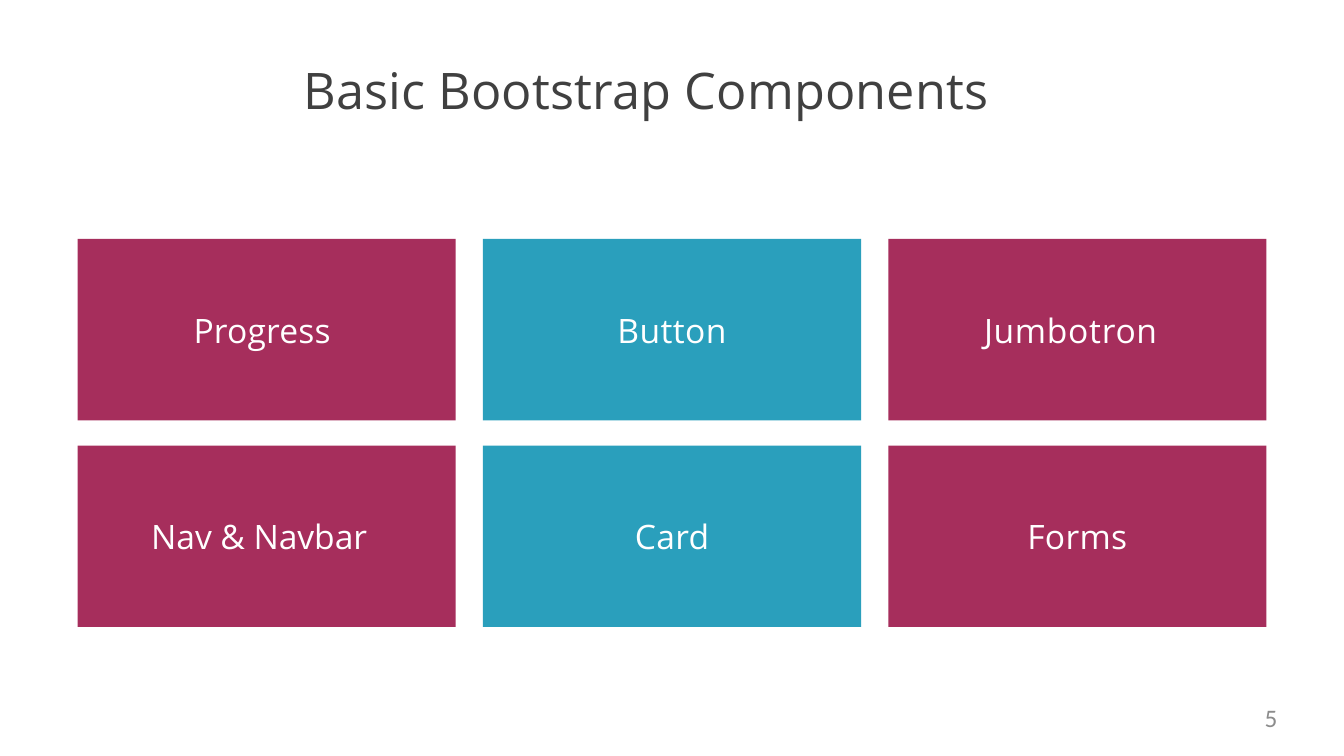
from pptx import Presentation
from pptx.dml.color import RGBColor
from pptx.enum.shapes import MSO_SHAPE as Shape
from pptx.enum.text import MSO_ANCHOR as Anchor, PP_ALIGN as Align
from pptx.util import Inches, Pt

COLORS = {"berry": "A62E5C", "teal": "2A9FBC", "white": "FFFFFF",
          "title": "404040", "number": "8C8C8C"}
TILE_WIDTH, TILE_HEIGHT = 3.75, 1.8
COLUMN_STEP, ROW_STEP = 4.02, 2.05
GRID_LEFT, GRID_TOP = 0.77, 2.37
COLUMN_FILLS = ["berry", "teal", "berry"]

# Label, left indent in inches (None centres it), letter spacing in points
COMPONENTS = [
    [("Progress", 1.15, 0.1), ("Button", None, 0.3), ("Jumbotron", 0.95, 0.5)],
    [("Nav & Navbar", 0.73, -0.06), ("Card", None, 0.2), ("Forms", None, 0.2)],
]


def place(box, left, top, width, height):
    """Position a shape, with all lengths in inches."""
    box.left, box.top = Inches(left), Inches(top)
    box.width, box.height = Inches(width), Inches(height)


def write(box, text, size, color, font="Open Sans", align=Align.LEFT,
          anchor=Anchor.MIDDLE, indent=0, spacing=0):
    """Put one formatted line of text in a shape."""
    frame = box.text_frame
    frame.word_wrap = True
    frame.vertical_anchor = anchor
    frame.margin_left = Inches(indent)
    frame.margin_top = frame.margin_right = frame.margin_bottom = 0
    para = frame.paragraphs[0]
    para.alignment = align
    para.font.name, para.font.size = font, Pt(size)
    para.font.color.rgb = RGBColor.from_string(COLORS[color])
    span = para.add_run()
    span.text = text
    if spacing:
        span.font._element.set("spc", str(round(spacing * 100)))


deck = Presentation()
deck.slide_width, deck.slide_height = Inches(13.33), Inches(7.5)
page = deck.slides.add_slide(deck.slide_layouts.get_by_name("Title Only"))

title = page.shapes.title
place(title, 3, 0.57, 7.24, 0.63)
write(title, "Basic Bootstrap Components", 36, "title", indent=0.01, spacing=0.1)

for row, components in enumerate(COMPONENTS):
    for column, (label, indent, spacing) in enumerate(components):
        tile = page.shapes.add_shape(Shape.RECTANGLE, 0, 0, 0, 0)
        place(tile, GRID_LEFT + column * COLUMN_STEP, GRID_TOP + row * ROW_STEP,
              TILE_WIDTH, TILE_HEIGHT)
        tile.shadow.inherit = False
        tile.fill.solid()
        tile.fill.fore_color.rgb = RGBColor.from_string(COLORS[COLUMN_FILLS[column]])
        tile.line.fill.background()
        write(tile, label, 24, "white", indent=indent or 0, spacing=spacing,
              align=Align.CENTER if indent is None else Align.LEFT)

number = page.shapes.add_textbox(0, 0, 0, 0)
place(number, 9.6, 6.97, 3.07, 0.38)
write(number, "5", 18, "number", font="Calibri", align=Align.RIGHT, anchor=Anchor.TOP)

deck.save("out.pptx")
